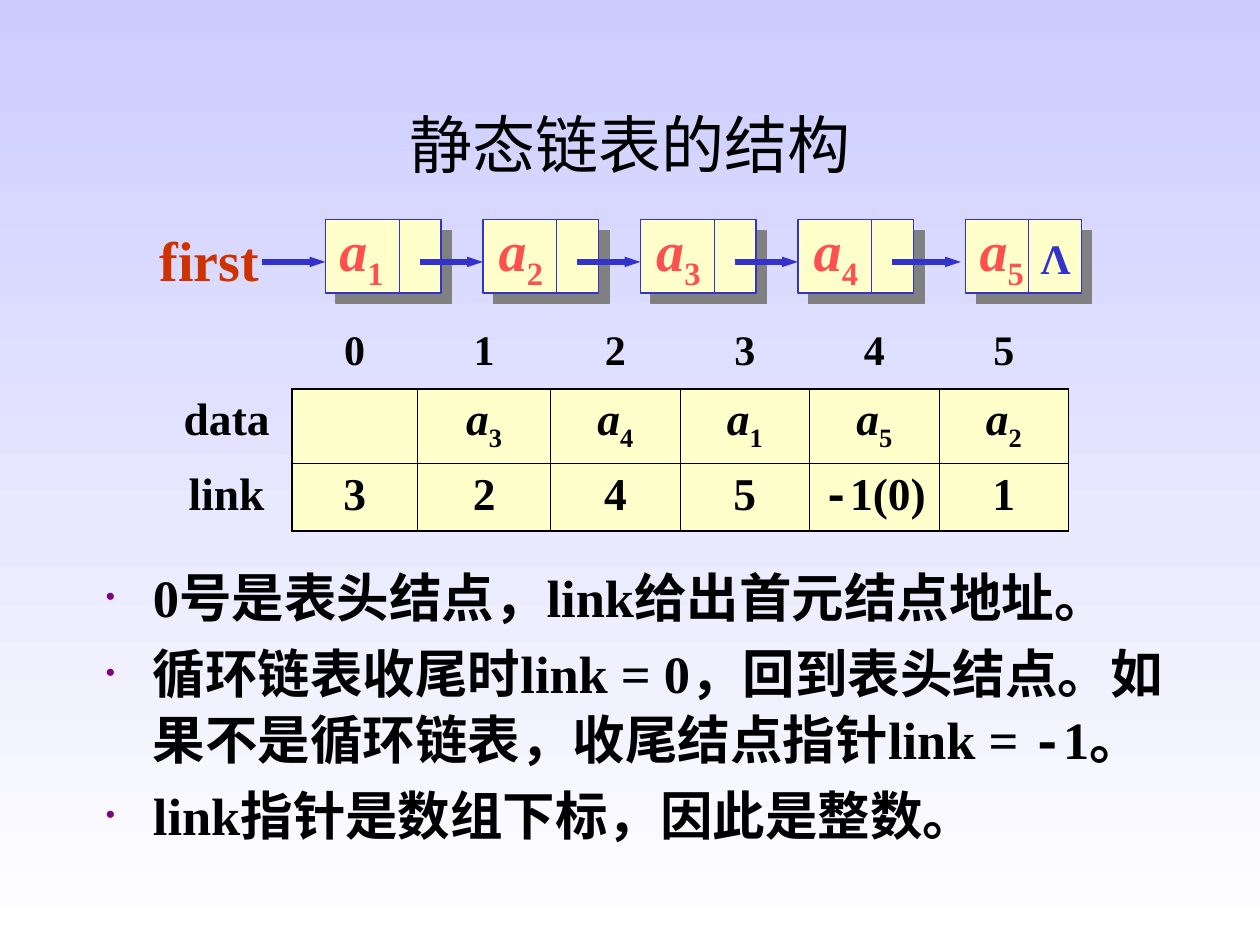
from lxml.etree import SubElement
from pptx import Presentation
from pptx.dml.color import RGBColor
from pptx.enum.shapes import MSO_CONNECTOR, MSO_SHAPE
from pptx.enum.text import MSO_ANCHOR, MSO_AUTO_SIZE, PP_ALIGN
from pptx.oxml import parse_xml
from pptx.oxml.ns import nsdecls, qn
from pptx.util import Cm, Pt

COLORS = {
    "black": "000000", "white": "FFFFFF", "sky": "CCCCFF", "cream": "FFFFCC",
    "blue": "3333CC", "red": "FF5050", "rust": "CC3300", "purple": "800080",
    "gray": "808080",
}


def add_run(p, text, size, color="black", bold=True, sub=False):
    r = p.add_run()
    r.text = text
    r.font.size = Pt(size)
    r.font.name = "Courier New" if text == "-" else "Times New Roman"
    r.font.bold = bold
    r.font.italic = text == "a"
    r.font.color.rgb = RGBColor.from_string(COLORS[color])
    if sub:
        r.font._element.set("baseline", "-25000")


def add_line(x1, y1, x2, y2, width, arrow=False):
    line = s.shapes.add_connector(
        MSO_CONNECTOR.STRAIGHT, Cm(x1), Cm(y1), Cm(x2), Cm(y2))
    line.line.color.rgb = RGBColor.from_string(COLORS["blue"])
    line.line.width = Pt(width)
    if arrow:
        ln = line.line._get_or_add_ln()
        SubElement(ln, qn("a:tailEnd"), type="triangle", w="sm", len="med")
    SubElement(line._element.spPr, qn("a:effectLst"))


prs = Presentation()
prs.slide_width, prs.slide_height = Cm(25.4), Cm(19.05)
s = prs.slides.add_slide(prs.slide_layouts[1])
fill = s.background.fill
fill.gradient()
fill.gradient_angle = 270
for stop, name in zip(fill.gradient_stops, ("sky", "white")):
    stop.color.rgb = RGBColor.from_string(COLORS[name])

title = s.shapes.title
title.left, title.top, title.width, title.height = Cm(1.9), Cm(1.7), Cm(21.6), Cm(2.39)
tf = title.text_frame
tf.vertical_anchor = MSO_ANCHOR.MIDDLE
tf.auto_size = MSO_AUTO_SIZE.NONE
tf.paragraphs[0].alignment = PP_ALIGN.CENTER
add_run(tf.paragraphs[0], "静态链表的结构", 36, bold=False)

body = s.placeholders[1]
body.left, body.top, body.width, body.height = Cm(1.88), Cm(11.2), Cm(22.86), Cm(6.5)
tf = body.text_frame
tf.auto_size = MSO_AUTO_SIZE.NONE
bullets = [
    ["0号是表头结点，link给出首元结点地址。"],
    ["循环链表收尾时link = 0，回到表头结点。如果不是循环链表，收尾结点指针link = ", "-", "1。"],
    ["link指针是数组下标，因此是整数。"],
]
for i, parts in enumerate(bullets):
    p = tf.add_paragraph() if i else tf.paragraphs[0]
    pPr = p._p.get_or_add_pPr()
    pPr.set("marL", str(Cm(0.95)))
    pPr.set("indent", str(Cm(-0.95)))
    SubElement(SubElement(pPr, qn("a:buClr")), qn("a:srgbClr"), val=COLORS["purple"])
    SubElement(pPr, qn("a:buSzPct"), val="50000")
    SubElement(pPr, qn("a:buChar"), char="•")
    p.line_spacing = 1.05
    p.space_before = Pt(5.6 if i else 0)
    for text in parts:
        add_run(p, text, 30)

node_lefts = [6.56 + 3.175 * i for i in range(4)] + [19.47]
node_top, node_w, node_h = 4.43, 2.33, 1.48
labels = [(2.97, 4.43, 2.8, 1.62, ["first"], 32, "rust"),
          (20.73, 4.56, 1.12, 1.27, ["Λ"], 24, "blue")]
for i, x in enumerate(node_lefts):
    last = i == len(node_lefts) - 1
    sp = s.shapes.add_shape(
        MSO_SHAPE.RECTANGLE, Cm(x), Cm(node_top), Cm(node_w), Cm(node_h))
    sp.fill.solid()
    sp.fill.fore_color.rgb = RGBColor.from_string(COLORS["cream"])
    sp.line.color.rgb = RGBColor.from_string(COLORS["blue"])
    sp.line.width = Pt(0.75)
    sp._element.spPr.append(parse_xml(
        f'<a:effectLst {nsdecls("a")}><a:outerShdw blurRad="0" dist="{Pt(8.5)}" '
        f'dir="2700000" algn="tl" rotWithShape="0"><a:srgbClr val="{COLORS["gray"]}"/>'
        '</a:outerShdw></a:effectLst>'))
    split = x + (1.27 if last else 1.49)
    add_line(split, node_top, split, node_top + node_h, 0.75)
    labels.append((x + (0.03 if i in (0, 4) else 0.07), 4.23, 1.4, 1.8,
                   ["a", str(i + 1)], 32, "red"))

for i, x in enumerate(node_lefts):
    start = 5.29 + 3.175 * i
    end = x - 0.1 if i == 4 else x
    add_line(start, 5.28, end, 5.28, 3, arrow=True)

for x, y, w, h, parts, size, color in labels:
    tf = s.shapes.add_textbox(Cm(x), Cm(y), Cm(w), Cm(h)).text_frame
    tf.word_wrap = False
    for j, text in enumerate(parts):
        add_run(tf.paragraphs[0], text, size, color, sub=j > 0)

rows = [
    [[], ["0"], ["1"], ["2"], ["3"], ["4"], ["5"]],
    [["data"], [], ["a", "3"], ["a", "4"], ["a", "1"], ["a", "5"], ["a", "2"]],
    [["link"], ["3"], ["2"], ["4"], ["5"], ["-", "1(0)"], ["1"]],
]
table = s.shapes.add_table(3, 7, Cm(3.26), Cm(6.49), Cm(18.28), Cm(4.2)).table
table.first_row = table.horz_banding = False
table._tbl.tblPr.find(qn("a:tableStyleId")).text = "{2D5ABB26-0587-4C30-8999-92F81FD0307C}"
for col, w in zip(table.columns, (2.62, 2.54, 2.68, 2.61, 2.61, 2.61, 2.61)):
    col.width = Cm(w)
for row, h in zip(table.rows, (1.35, 1.5, 1.35)):
    row.height = Cm(h)
for i, row in enumerate(rows):
    for j, parts in enumerate(row):
        cell = table.cell(i, j)
        p = cell.text_frame.paragraphs[0]
        p.alignment = PP_ALIGN.CENTER
        for text in parts:
            add_run(p, text, 26 if i else 24, sub=parts[0] == "a" and text != "a")
        if i == 0 or j == 0:
            cell.fill.background()
            continue
        cell.fill.solid()
        cell.fill.fore_color.rgb = RGBColor.from_string(COLORS["cream"])
        outer = {"L": j == 1, "R": j == 6, "T": i == 1, "B": i == 2}
        for k, (side, thick) in enumerate(outer.items()):
            cell._tc.tcPr.insert(k, parse_xml(
                f'<a:ln{side} {nsdecls("a")} w="{Pt(1.08 if thick else 0.45)}"><a:solidFill>'
                f'<a:srgbClr val="{COLORS["black"]}"/></a:solidFill></a:ln{side}>'))

prs.save("out.pptx")
